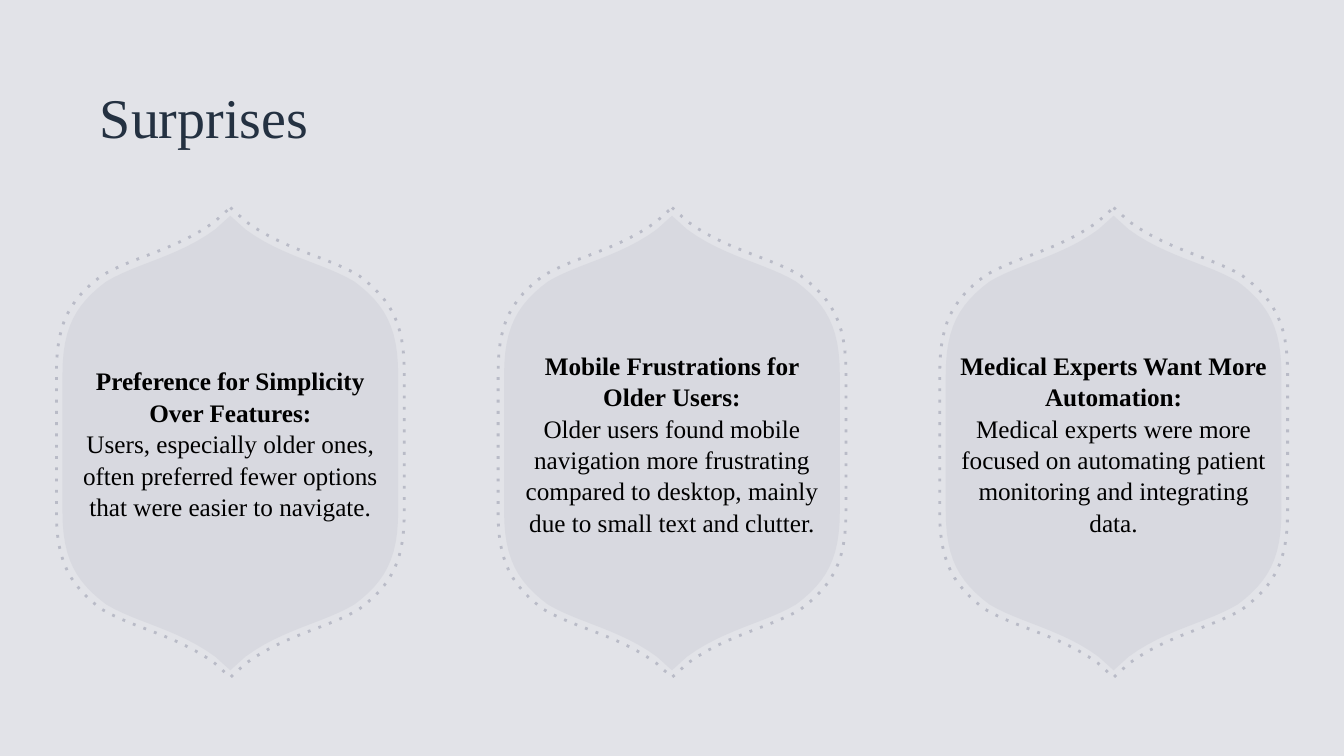
from lxml import etree
from pptx import Presentation
from pptx.dml.color import RGBColor
from pptx.enum.text import MSO_ANCHOR, MSO_AUTO_SIZE, PP_ALIGN
from pptx.oxml.ns import qn
from pptx.util import Inches, Pt

MIDDLE = MSO_ANCHOR.MIDDLE
NO_FIT = MSO_AUTO_SIZE.NONE
LEFT, CENTER = PP_ALIGN.LEFT, PP_ALIGN.CENTER

PALE = RGBColor(0xE2, 0xE3, 0xE8)
SLATE = RGBColor(0xA2, 0xA5, 0xB5)
NAVY = RGBColor(0x24, 0x31, 0x41)
BLACK = RGBColor(0, 0, 0)

GRID = 100  # columns and rows on the slide
TITLE_ONLY = 5
CURVE_STEPS = 12

# Upper right quarter of a shield, as shares of its half width and half height
SHOULDER = [(0.09, -0.94), (0.31, -0.82), (0.56, -0.79), (0.74, -0.71)]
FLANK = [(0.74, -0.71), (0.92, -0.61), (1, -0.51), (1, -0.3)]

SURPRISES = [
    ("Preference for Simplicity Over Features:",
     "Users, especially older ones, often preferred fewer options "
     "that were easier to navigate."),
    ("Mobile Frustrations for Older Users:",
     "Older users found mobile navigation more frustrating compared to "
     "desktop, mainly due to small text and clutter."),
    ("Medical Experts Want More Automation:",
     "Medical experts were more focused on automating patient monitoring "
     "and integrating data."),
]


def set_all(target, values):
    for name, value in values.items():
        setattr(target, name, value)


def set_opacity(fill, percent):
    fill_color = fill._xPr.find(qn("a:solidFill"))[0]
    etree.SubElement(fill_color, qn("a:alpha"), val=str(percent * 1000))


def curve(start, first, second, end):
    """Return points along a cubic Bezier curve."""
    points = []
    for step in range(CURVE_STEPS + 1):
        t = step / CURVE_STEPS
        weights = ((1 - t) ** 3, 3 * t * (1 - t) ** 2, 3 * t * t * (1 - t), t ** 3)
        corners = (start, first, second, end)
        points.append(tuple(sum(w * corner[axis] for w, corner in zip(weights, corners))
                            for axis in (0, 1)))
    return points


def shield_outline():
    """Mirror the quarter outline clockwise into a closed unit shield."""
    quarter = [(0, -1)] + curve(*SHOULDER) + curve(*FLANK)
    right = quarter + [(x, -y) for x, y in reversed(quarter)]
    left = [(-x, -y) for x, y in right]
    return list(dict.fromkeys(right + left))


class Painter:
    """Holds the type style, the grid and the current page."""

    font_name = "Times New Roman"

    def __init__(self, deck):
        self.column = deck.slide_width / GRID
        self.row = deck.slide_height / GRID
        self.page = deck.slides.add_slide(deck.slide_layouts[TITLE_ONLY])
        background = self.page.background.fill
        background.solid()
        background.fore_color.rgb = PALE

    def paragraph(self, para, text, size, color, bold, align, spacing=1.0):
        span = para.add_run()
        span.text = text
        set_all(para, {"alignment": align, "line_spacing": spacing})
        set_all(span.font, {"name": self.font_name, "size": Pt(size), "bold": bold})
        span.font.color.rgb = color

    def title(self, text, left, top, width, height):
        box = self.page.shapes.title
        set_all(box, {"left": round(left * self.column), "top": round(top * self.row),
                      "width": round(width * self.column),
                      "height": round(height * self.row)})
        set_all(box.text_frame, {"vertical_anchor": MIDDLE, "auto_size": NO_FIT,
                                 "word_wrap": True})
        self.paragraph(box.text_frame.paragraphs[0], text, 40, NAVY, False, LEFT)

    def shield(self, center, middle, half_width, half_height):
        points = [(round((center + x * half_width) * self.column),
                   round((middle + y * half_height) * self.row))
                  for x, y in shield_outline()]
        builder = self.page.shapes.build_freeform(*points[0])
        builder.add_line_segments(points[1:], close=True)
        shape = builder.convert_to_shape()
        shape.shadow.inherit = False
        return shape

    def dotted_shield(self, *place):
        shape = self.shield(*place)
        shape.fill.background()
        line = shape.line
        line.width = Pt(2)
        line.color.rgb = SLATE
        set_opacity(line.fill, 64)
        etree.SubElement(line.fill._xPr, qn("a:prstDash"), val="dot")

    def text_shield(self, heading, detail, *place):
        shape = self.shield(*place)
        shape.line.fill.background()
        shape.fill.solid()
        shape.fill.fore_color.rgb = SLATE
        set_opacity(shape.fill, 15)
        frame = shape.text_frame
        set_all(frame, {"vertical_anchor": MIDDLE, "word_wrap": True})
        self.paragraph(frame.paragraphs[0], heading, 18, BLACK, True, CENTER, 1.04)
        self.paragraph(frame.add_paragraph(), detail, 18, BLACK, False, CENTER, 1.04)


def main():
    deck = Presentation()
    set_all(deck, {"slide_width": Inches(13.33), "slide_height": Inches(7.5)})
    painter = Painter(deck)
    painter.title("Surprises", 6.68, 4.4, 53.71, 22)
    for index, (heading, detail) in enumerate(SURPRISES):
        center = 50 + (index - 1) * 32.86
        painter.dotted_shield(center, 58.53, 12.94, 31.07)
        painter.text_shield(heading, detail, center, 58.6, 12.49, 30.07)
    deck.save("out.pptx")


if __name__ == "__main__":
    main()
